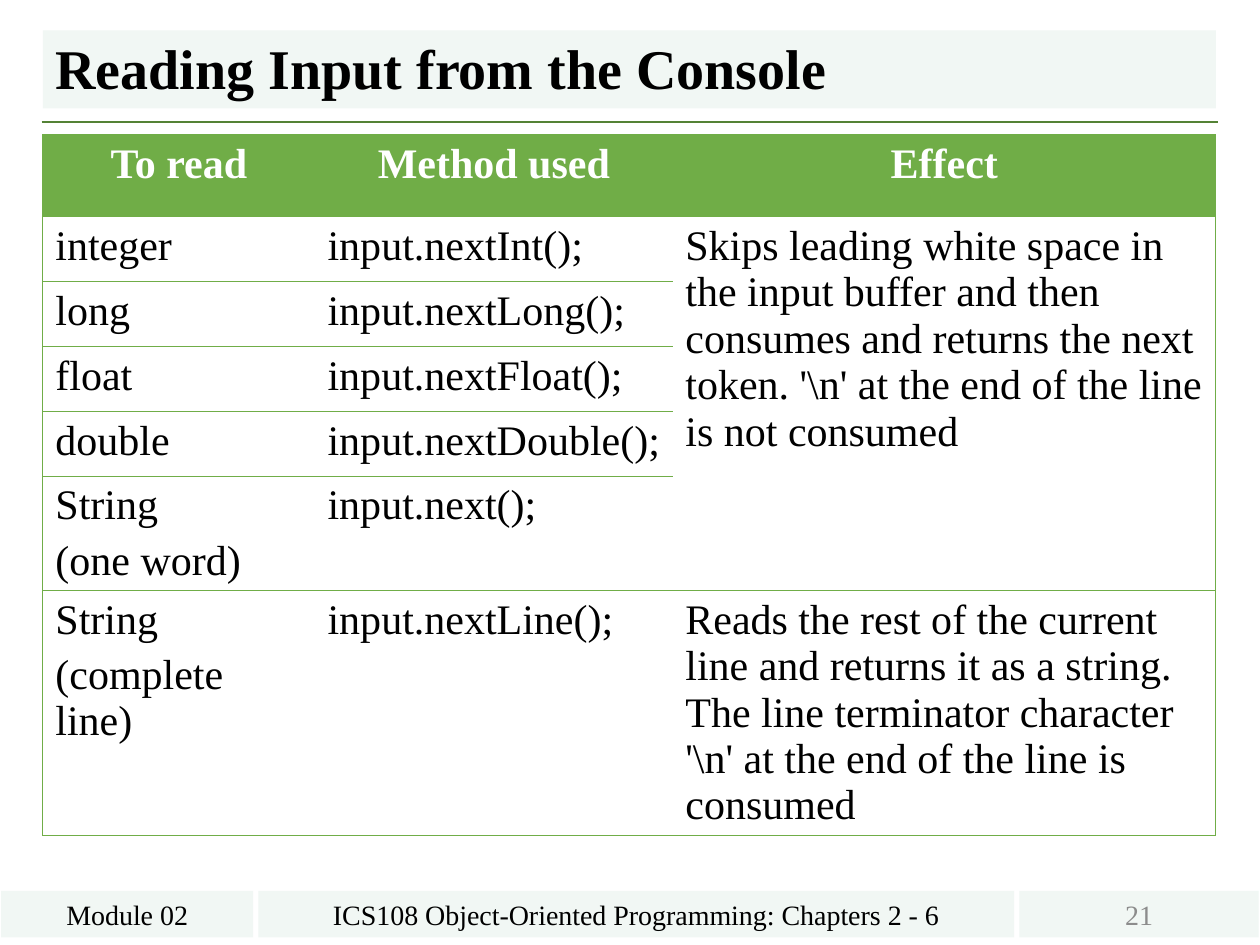
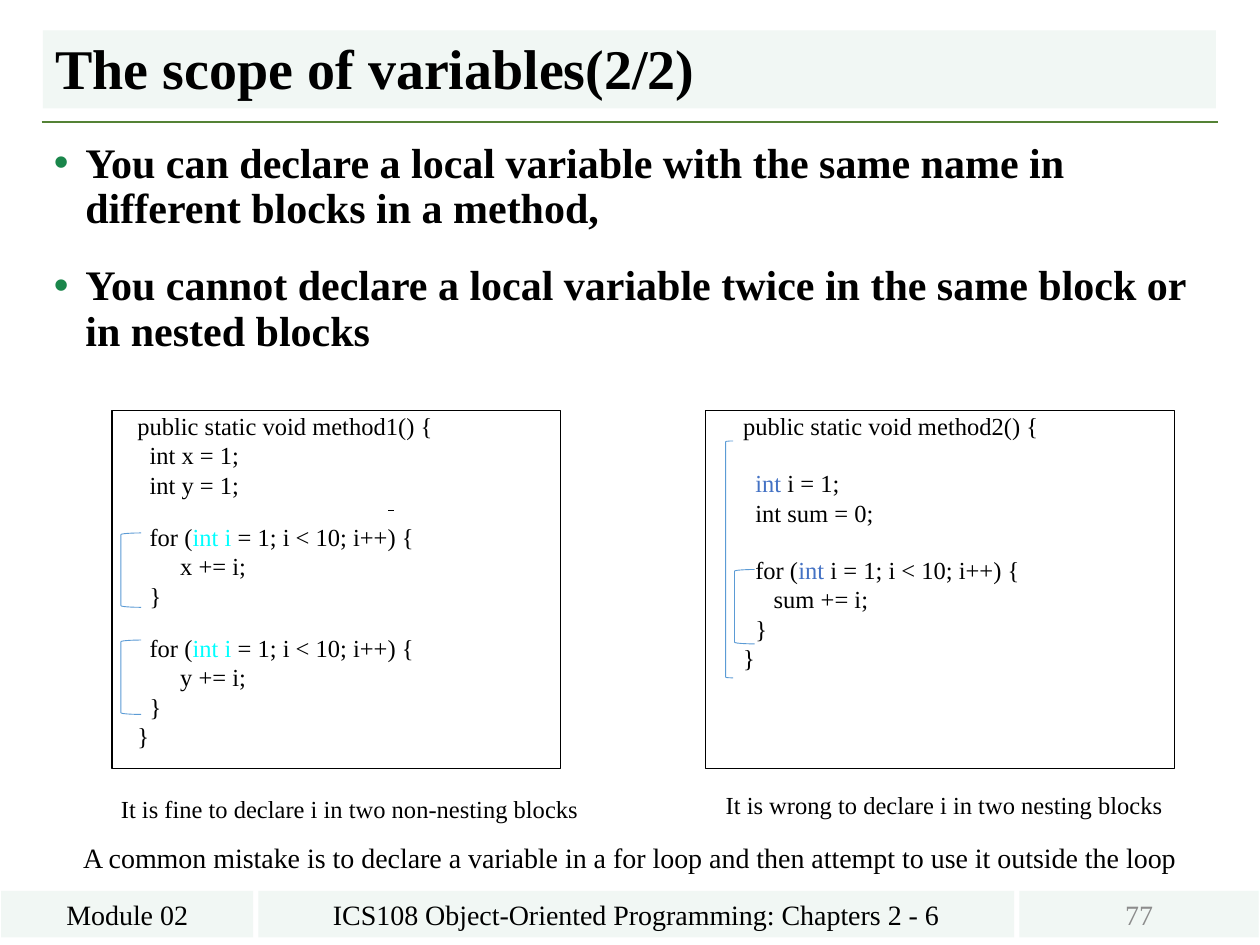
from lxml.etree import SubElement
from pptx import Presentation
from pptx.dml.color import RGBColor
from pptx.enum.shapes import MSO_CONNECTOR, MSO_SHAPE as Shape
from pptx.enum.text import MSO_ANCHOR as Anchor, MSO_AUTO_SIZE as AutoSize, PP_ALIGN as Align
from pptx.oxml.ns import qn
from pptx.util import Inches, Pt

# The slide is a grid of 100 columns by 75 rows.
SLIDE_WIDTH, SLIDE_HEIGHT = Inches(10), Inches(7.5)
COLUMN, ROW = SLIDE_WIDTH / 100, SLIDE_HEIGHT / 75
FONT = "Times New Roman"
COLORS = {
    "text": "000000", "white": "FFFFFF", "band": "F1F7F4", "rule": "548235",
    "number": "8C8C8C", "table": "70AD47", "bullet": "1A864B",
    "bracket": "5B9BD5", "cyan": "00FFFF", "blue": "4472C4",
}
PLAIN_TABLE_STYLE = "{2D5ABB26-0587-4C30-8999-92F81FD0307C}"

READ_METHODS = [
    ("To read", "Method used", "Effect"),
    ("integer", "input.nextInt();",
     "Skips leading white space in the input buffer and then consumes and returns "
     "the next token. '\\n' at the end of the line is not consumed"),
    ("long", "input.nextLong();", ""),
    ("float", "input.nextFloat();", ""),
    ("double", "input.nextDouble();", ""),
    ("String\n(one word)", "input.next();", ""),
    ("String\n(complete line)", "input.nextLine();",
     "Reads the rest of the current line and returns it as a string. The line "
     "terminator character '\\n' at the end of the line is consumed"),
]
SCOPE_RULES = [
    "You can declare a local variable with the same name in different blocks in a method,",
    "You cannot declare a local variable twice in the same block or in nested blocks",
]
# Each inner list is a group of lines; bars enclose the highlighted part.
SEPARATE_BLOCKS = [
    ["public static void method1() {", "  int x = 1;", "  int y = 1;"],
    ["  for (|int i| = 1; i < 10; i++) {", "       x += i;", "  }"],
    ["  for (|int i| = 1; i < 10; i++) {", "       y += i;", "  }", "}"],
]
NESTED_BLOCKS = [
    ["  public static void method2() {"],
    ["    |int |i = 1;", "    int sum = 0;"],
    ["    for (|int |i = 1; i < 10; i++) {", "       sum += i;", "    }", "  }"],
]


def color(name):
    return RGBColor.from_string(COLORS[name])


def place(left, top, width, height):
    """Turn grid columns and rows into slide lengths."""
    return (round(left * COLUMN), round(top * ROW),
            round(width * COLUMN), round(height * ROW))


def style_font(font, size, name="text", bold=False):
    font.name, font.size, font.bold = FONT, Pt(size), bold
    font.color.rgb = color(name)


def style_text(frame, size, name="text", bold=False, align=Align.LEFT):
    for para in frame.paragraphs:
        para.alignment = align
        for span in para.runs:
            style_font(span.font, size, name, bold)


def add_box(page, area, fill=None, line=None, kind=Shape.RECTANGLE, weight=0.75):
    box = page.shapes.add_shape(kind, *place(*area))
    box.shadow.inherit = False
    if fill:
        box.fill.solid()
        box.fill.fore_color.rgb = color(fill)
    else:
        box.fill.background()
    if line:
        box.line.color.rgb = color(line)
        box.line.width = Pt(weight)
    else:
        box.line.fill.background()
    return box


def add_rule(page, start, end, name, weight):
    ends = place(*start, *end)
    rule = page.shapes.add_connector(MSO_CONNECTOR.STRAIGHT, *ends)
    rule.line.color.rgb = color(name)
    rule.line.width = Pt(weight)
    SubElement(rule._element.spPr, qn("a:effectLst"))


def add_footer(page, left, width, text, name="text"):
    box = add_box(page, (left, 70.7, width, 3.7), "band")
    box.text_frame.text = text
    style_text(box.text_frame, 16, name, align=Align.CENTER)


def add_page(deck, title, number):
    """Add a slide with its title band, rule and footers."""
    page = deck.slides.add_slide(deck.slide_layouts[5])
    heading = page.shapes.title
    heading.left, heading.top, heading.width, heading.height = place(3.4, 2.4, 93.1, 6.2)
    heading.fill.solid()
    heading.fill.fore_color.rgb = color("band")
    frame = heading.text_frame
    frame.text = title
    frame.auto_size = AutoSize.NONE
    frame.vertical_anchor = Anchor.BOTTOM
    frame.paragraphs[0].line_spacing = 0.9
    style_text(frame, 32, bold=True)
    add_rule(page, (3.3, 9.7), (96.7, 9.7), "rule", 1.5)
    add_footer(page, 0.1, 20, "Module 02")
    add_footer(page, 20.5, 60, "ICS108 Object-Oriented Programming: Chapters 2 - 6")
    add_footer(page, 80.9, 19, str(number), "number")
    return page


def add_borders(cell, sides):
    """Draw the given sides (a subset of LRTB, in that order) of a cell."""
    properties = cell._tc.get_or_add_tcPr()
    for index, side in enumerate(sides):
        line = SubElement(properties, qn(f"a:ln{side}"), w=str(Pt(0.5)))
        fill = SubElement(line, qn("a:solidFill"))
        SubElement(fill, qn("a:srgbClr"), val=COLORS["table"])
        properties.insert(index, line)


def fill_cell(cell, text, header):
    cell.fill.solid()
    cell.fill.fore_color.rgb = color("table" if header else "white")
    frame = cell.text_frame
    frame.text = text
    for para in frame.paragraphs[1:]:
        para.space_before = Pt(5)
    if header:
        style_text(frame, 24, "white", True, Align.CENTER)
    else:
        style_text(frame, 24)


def add_method_table(page, records, widths, heights):
    area = place(3.4, 10.7, sum(widths), sum(heights))
    table = page.shapes.add_table(len(heights), len(widths), *area).table
    table.horz_banding = False
    table._tbl.tblPr.find(qn("a:tableStyleId")).text = PLAIN_TABLE_STYLE
    for column, width in zip(table.columns, widths):
        column.width = round(width * COLUMN)
    for row, height in zip(table.rows, heights):
        row.height = round(height * ROW)
    table.cell(1, 2).merge(table.cell(5, 2))
    side_borders = ("L", "", "R")
    for row, record in enumerate(records):
        for column, text in enumerate(record):
            cell = table.cell(row, column)
            if not cell.is_spanned:
                fill_cell(cell, text, header=row == 0)
            add_borders(cell, side_borders[column] + ("" if cell.is_spanned and row < 5 else "TB"))


def set_indent(para, left, first=0):
    properties = para._p.get_or_add_pPr()
    properties.set("marL", str(round(left * COLUMN)))
    properties.set("indent", str(round(first * COLUMN)))
    return properties


def add_bullets(page, area, items):
    frame = page.shapes.add_textbox(*place(*area)).text_frame
    frame.word_wrap = True
    frame.text = "\n".join(items)
    for index, para in enumerate(frame.paragraphs):
        properties = set_indent(para, 2.5, -2.5)
        para.line_spacing = 0.9
        if index:
            para.space_before = Pt(18)
        bullet_color = SubElement(properties, qn("a:buClr"))
        SubElement(bullet_color, qn("a:srgbClr"), val=COLORS["bullet"])
        SubElement(properties, qn("a:buFont"), typeface="Arial")
        SubElement(properties, qn("a:buChar"), char="•")
    style_text(frame, 24, bold=True)


def clear_margins(frame):
    frame.margin_left = frame.margin_right = frame.margin_top = frame.margin_bottom = 0
    frame.vertical_anchor = Anchor.TOP


def add_code(page, area, groups, highlight, gap):
    """Show groups of code lines, a gap in points apart."""
    frame = add_box(page, area, "white", "text").text_frame
    clear_margins(frame)
    frame.text = "\n".join(line for group in groups for line in group)
    paragraphs = iter(frame.paragraphs)
    for group_index, group in enumerate(groups):
        for line_index, line in enumerate(group):
            para = next(paragraphs)
            para.clear()
            para.alignment = Align.LEFT
            set_indent(para, 2)
            if group_index and not line_index:
                para.space_before = Pt(gap)
            for part_index, part in enumerate(line.split("|")):
                span = para.add_run()
                span.text = part
                style_font(span.font, 14, highlight if part_index % 2 else "text")


def add_caption(page, area, text):
    frame = add_box(page, area, "white", "white").text_frame
    clear_margins(frame)
    frame.text = text
    style_text(frame, 14)


def add_closing_note(page, text):
    frame = page.shapes.add_textbox(*place(1.7, 66.2, 96.6, 3.7)).text_frame
    frame.word_wrap = True
    frame.text = text
    style_text(frame, 16, align=Align.CENTER)


def build_console_input(deck):
    page = add_page(deck, "Reading Input from the Console", 21)
    add_method_table(page, READ_METHODS, widths=(21.6, 28.4, 43.1),
                     heights=(6.5, *[5.15] * 4, 9.05, 19.45))


def build_variable_scope(deck):
    page = add_page(deck, "The scope of variables(2/2)", 77)
    add_bullets(page, (3.3, 10.8, 93.4, 20.7), SCOPE_RULES)
    add_code(page, (8.9, 32.6, 35.6, 28.4), SEPARATE_BLOCKS, "cyan", gap=13)
    add_caption(page, (9.6, 63, 37.7, 2.6), "It is fine to declare i in two non-nesting blocks")
    add_rule(page, (30.8, 40.5), (31.3, 40.5), "text", 0.75)
    add_code(page, (56, 32.6, 37.2, 28.4), NESTED_BLOCKS, "blue", gap=16)
    add_caption(page, (57.6, 62.7, 35.7, 2.9), "It is wrong to declare i in two nesting blocks")
    inner_size = (1.6, 5.9)
    for area in ((57.6, 35, 0.6, 18.8), (58.3, 45.2, *inner_size),
                 (9.6, 42.3, *inner_size), (9.6, 50.8, *inner_size)):
        add_box(page, area, line="bracket", kind=Shape.LEFT_BRACKET, weight=0.5)
    add_closing_note(page, "A common mistake is to declare a variable in a for loop "
                           "and then attempt to use it outside the loop")


def main():
    deck = Presentation()
    deck.slide_width, deck.slide_height = SLIDE_WIDTH, SLIDE_HEIGHT
    build_console_input(deck)
    build_variable_scope(deck)
    deck.save("out.pptx")


if __name__ == "__main__":
    main()
